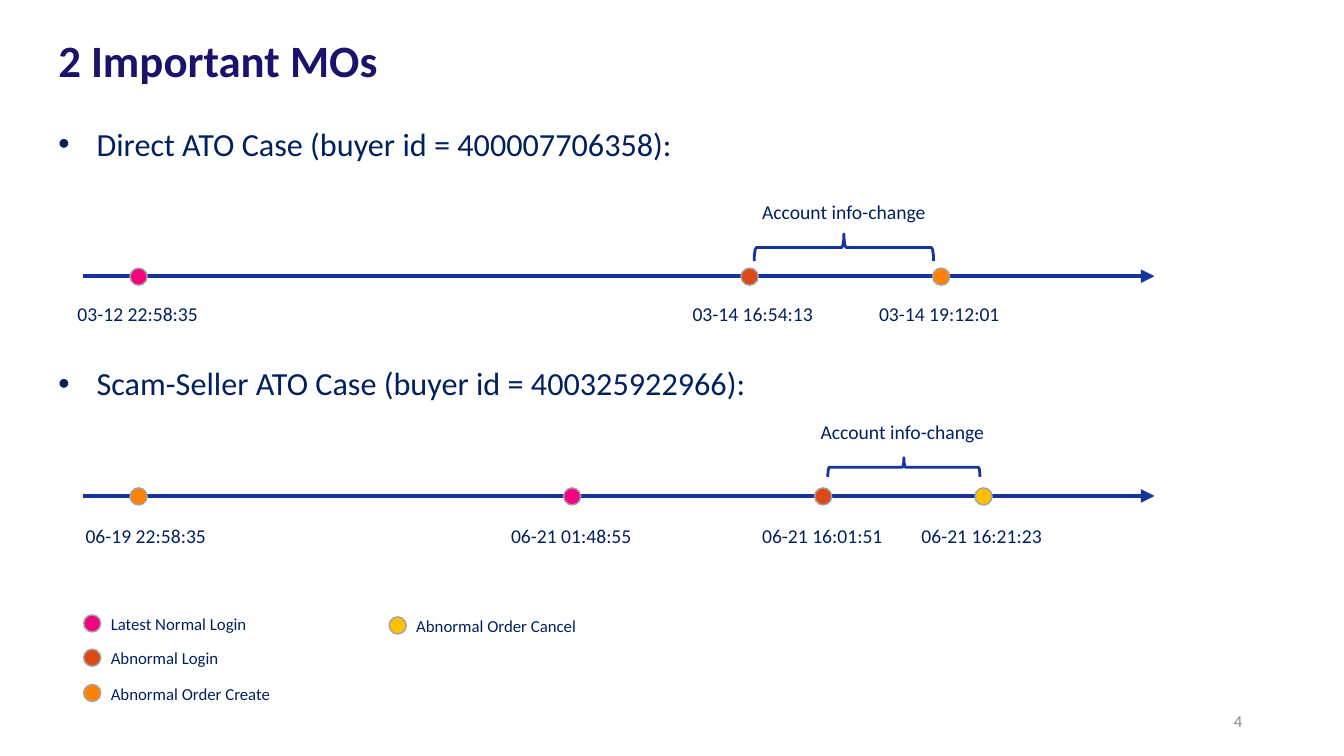
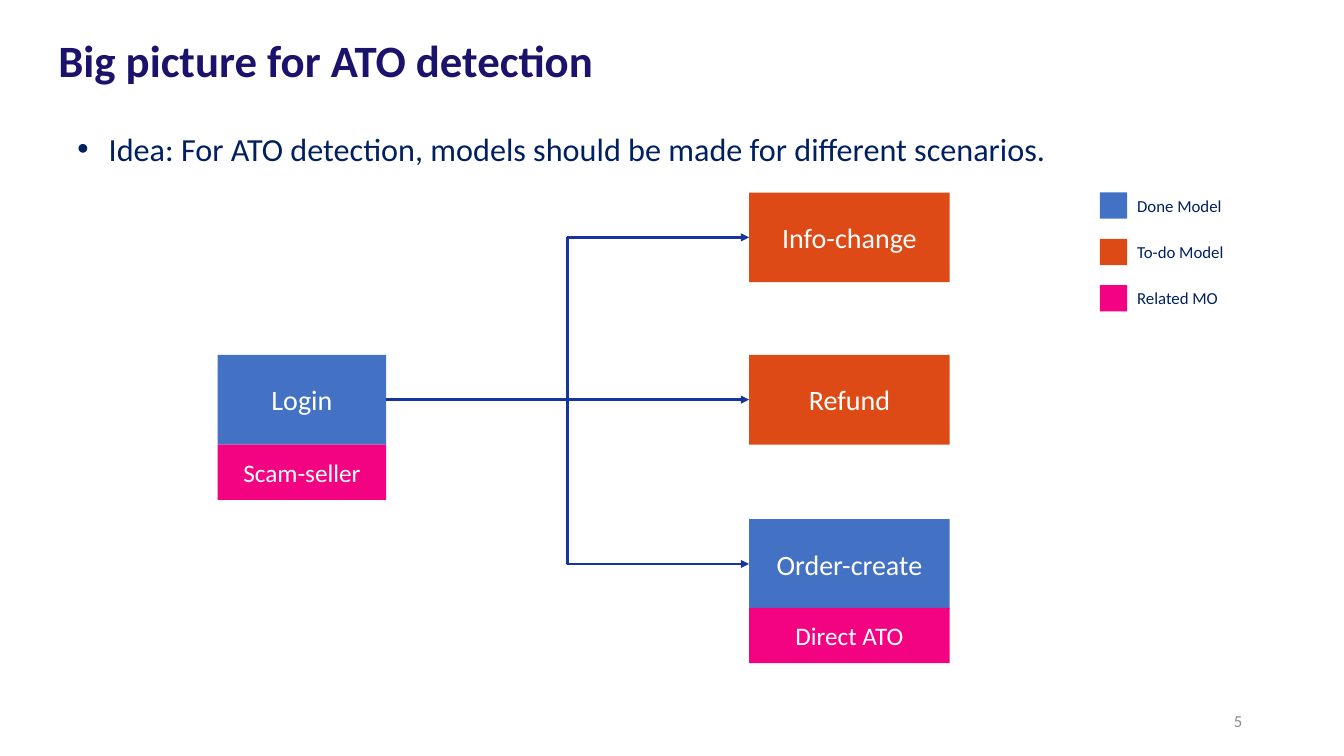
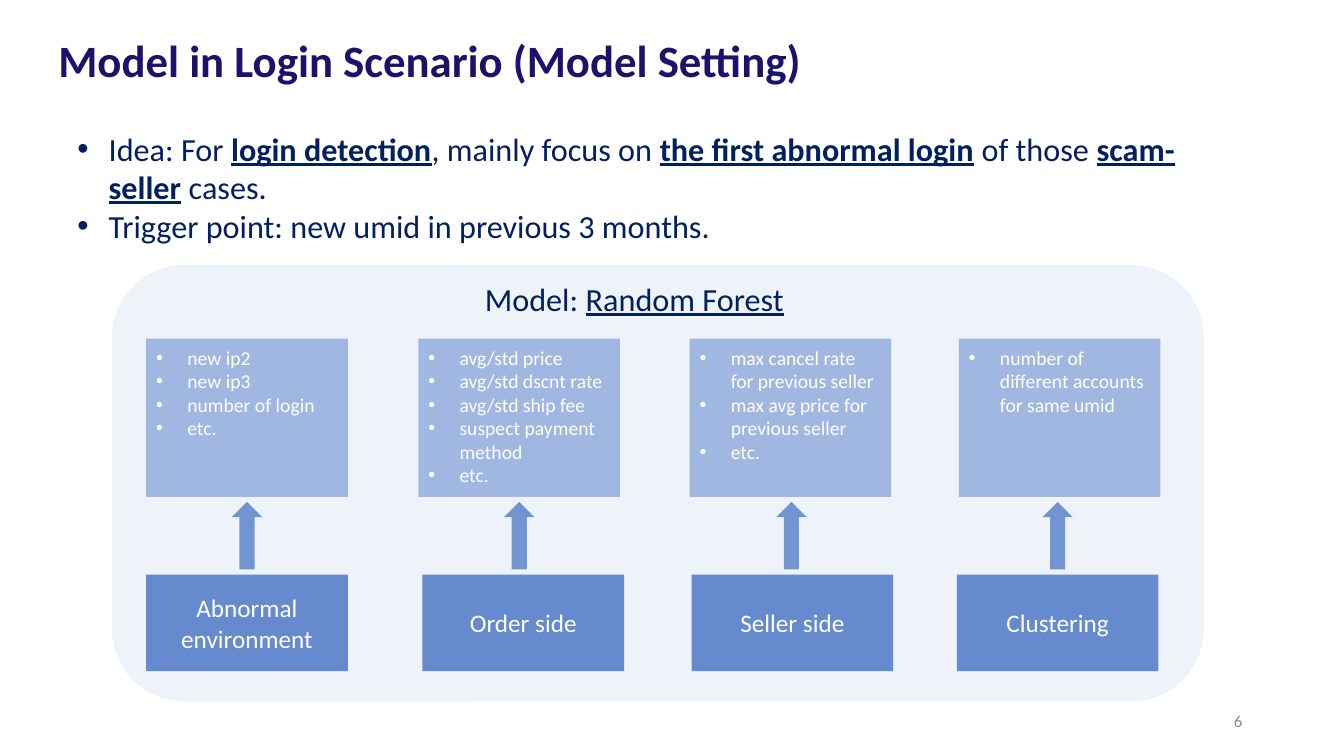
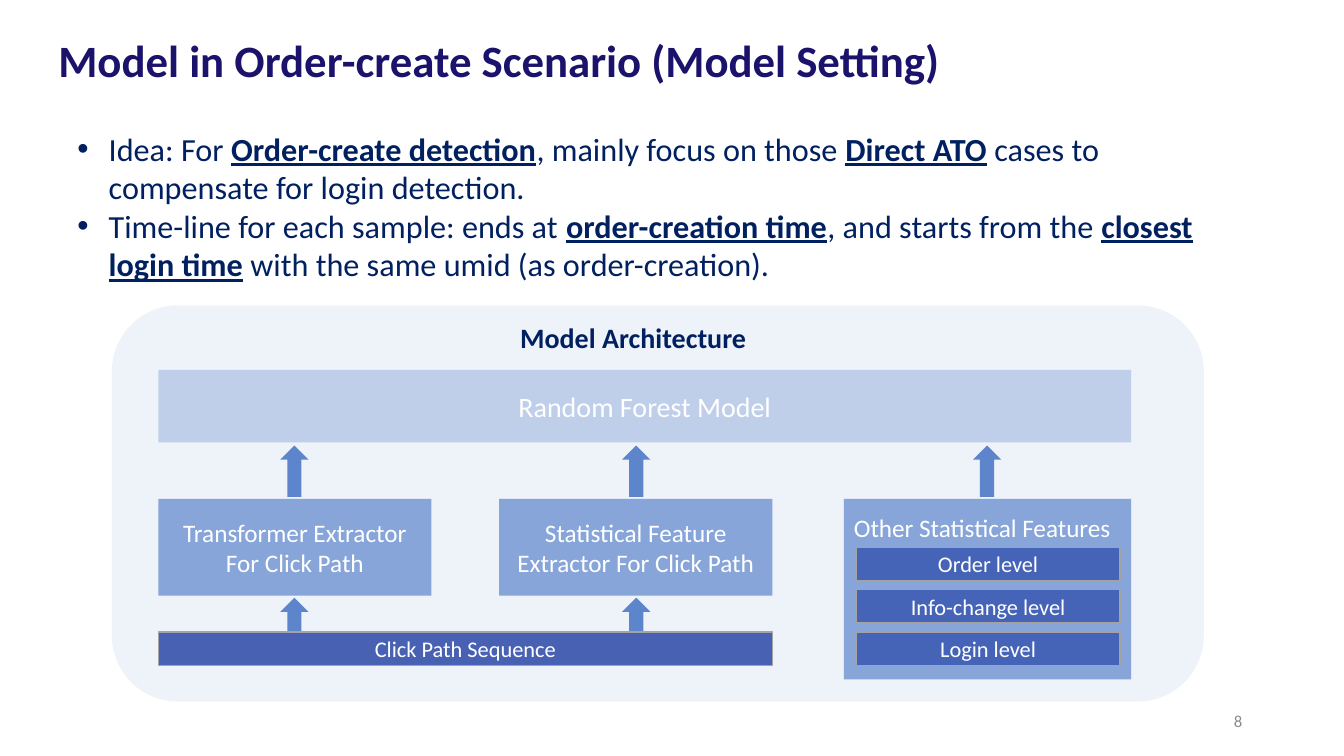
from lxml.etree import SubElement
from pptx import Presentation
from pptx.dml.color import RGBColor
from pptx.enum.shapes import MSO_CONNECTOR, MSO_SHAPE
from pptx.enum.text import MSO_ANCHOR, PP_ALIGN
from pptx.oxml.ns import qn
from pptx.util import Emu, Pt

PX = 9144
FONT = "Calibri"
TITLE, NAVY, GREY, EDGE, WHITE = "1B126C", "002060", "8C8C8C", "A3A3A3", "FFFFFF"
BLUE, ROYAL, PINK, RED = "4372C4", "16349E", "F30381", "DE4A16"
ORANGE, YELLOW = "FF8202", "FFC000"


def px(n):
    """Turn px into EMU."""
    return Emu(round(n * PX))


def rgb(color):
    """Turn a hex string into a colour."""
    return RGBColor.from_string(color)


def write(tf, paras, size, color, align=PP_ALIGN.LEFT, indent=0, bold=False,
          strong=True, spacing=None):
    """Fill a frame; in a list of runs every second one is emphasised."""
    for i, runs in enumerate(paras):
        p = tf.paragraphs[0] if i == 0 else tf.add_paragraph()
        p.alignment = align
        if spacing:
            p.line_spacing = spacing
        if indent:
            pPr = p._p.get_or_add_pPr()
            pPr.set("marL", str(px(indent)))
            pPr.set("indent", str(px(-indent)))
            SubElement(pPr, qn("a:buFont")).set("typeface", "Arial")
            SubElement(pPr, qn("a:buChar")).set("char", "•")
        for j, text in enumerate([runs] if isinstance(runs, str) else runs):
            r = p.add_run()
            r.text = text
            f = r.font
            f.name, f.size, f.color.rgb = FONT, Pt(size), rgb(color)
            f.bold = bold or (strong and j % 2 == 1)
            f.underline = j % 2 == 1


def add_text(s, x, y, w, h, paras, size, color=NAVY, anchor=MSO_ANCHOR.TOP, **style):
    """Add a wrapped text box."""
    tf = s.shapes.add_textbox(px(x), px(y), px(w), px(h)).text_frame
    tf.word_wrap = True
    tf.vertical_anchor = anchor
    write(tf, paras, size, color, **style)


def add_box(s, kind, x, y, w, h, fill=None, alpha=100, edge=None, edge_width=1):
    """Add a flat preset shape."""
    sp = s.shapes.add_shape(kind, px(x), px(y), px(w), px(h))
    sp.shadow.inherit = False
    if fill:
        sp.fill.solid()
        sp.fill.fore_color.rgb = rgb(fill)
        if alpha < 100:
            clr = sp.element.spPr.find(qn("a:solidFill"))[0]
            SubElement(clr, qn("a:alpha")).set("val", str(alpha * 1000))
    else:
        sp.fill.background()
    if edge:
        sp.line.color.rgb = rgb(edge)
        sp.line.width = Pt(edge_width)
    else:
        sp.line.fill.background()
    return sp


def add_block(s, x, y, w, h, paras, size, fill=BLUE, alpha=100, edge=None,
              top=None, align=PP_ALIGN.CENTER, indent=0):
    """Add a filled rectangle with white text, centred or from a top inset."""
    sp = add_box(s, MSO_SHAPE.RECTANGLE, x, y, w, h, fill, alpha, edge)
    tf = sp.text_frame
    tf.word_wrap = True
    tf.vertical_anchor = MSO_ANCHOR.MIDDLE
    if top is not None:
        tf.vertical_anchor = MSO_ANCHOR.TOP
        tf.margin_top = px(top)
    write(tf, paras, size, WHITE, align=align, indent=indent)
    return sp


def add_arrow(s, kind, x1, y1, x2, y2, width):
    """Add a connector with an arrowhead at its end."""
    c = s.shapes.add_connector(kind, px(x1), px(y1), px(x2), px(y2))
    c.line.color.rgb = rgb(ROYAL)
    c.line.width = Pt(width)
    spPr = c.element.spPr
    SubElement(spPr.find(qn("a:ln")), qn("a:tailEnd")).set("type", "triangle")
    SubElement(spPr, qn("a:effectLst"))
    return c


def join(s, kind, start, end):
    """Join the right side of one block to the left side of another."""
    c = add_arrow(s, kind, 0, 0, 1, 1, 1.75)
    c.begin_connect(start, 3)
    c.end_connect(end, 1)


def add_slide(prs, title, number):
    """Add a slide with its title and page number."""
    s = prs.slides.add_slide(prs.slide_layouts[6])
    add_text(s, 48, 31, 1043, 64, [title], 32, TITLE, MSO_ANCHOR.MIDDLE,
             bold=True, spacing=0.9)
    add_text(s, 942, 695, 300, 40, [str(number)], 12, GREY, MSO_ANCHOR.MIDDLE,
             align=PP_ALIGN.RIGHT)
    return s


def add_ideas(s, h, paras):
    """Add the bulleted statement below the title."""
    add_text(s, 67, 123, 1126, h, paras, 23, indent=31)


def add_key(s, kind, x, y, w, h, color, label, edge=None):
    """Add one legend marker with its label."""
    add_box(s, kind, x, y, w, h, color, edge=edge)
    add_text(s, x + w, y + (h + 1) // 2 - 15, 191, 30, [label], 12)


def add_dot(s, x, y, color):
    """Add an event dot."""
    add_box(s, MSO_SHAPE.OVAL, x, y, 17, 17, color, edge=EDGE)


def add_timeline(s, x, y, label_dy, events):
    """Add a time arrow with dots and time labels, offset from its start."""
    add_arrow(s, MSO_CONNECTOR.STRAIGHT, x, y, x + 1063, y, 3.25)
    for dot_dx, label_dx, color, time in events:
        add_dot(s, x + dot_dx, y - 8, color)
        add_text(s, x + label_dx, y + label_dy, 142, 34, [time], 14)


def add_span(s, x, y, w, h, label_dx, label_dy):
    """Add a brace that opens downwards, with its label above."""
    shift = (w - h) / 2
    sp = add_box(s, MSO_SHAPE.RIGHT_BRACE, x + shift, y - shift, h, w,
                 edge=ROYAL, edge_width=2)
    sp.rotation = 270
    add_text(s, x + label_dx, y + label_dy, 194, 34, ["Account info-change"], 14)


def add_panel(s, x, y, w, h):
    """Add the pale rounded panel behind a model."""
    add_box(s, MSO_SHAPE.ROUNDED_RECTANGLE, x, y, w, h, BLUE, 9)


def add_feature_columns(s, x, y, columns):
    """Add feature lists, each fed by an arrow from its group."""
    for list_dx, arrow_dx, group_dx, group, features in columns:
        add_block(s, x + list_dx, y + 73, 200, 157, features, 14, alpha=45,
                  top=7, align=PP_ALIGN.LEFT, indent=31)
        add_box(s, MSO_SHAPE.UP_ARROW, x + arrow_dx, y + 235, 30, 67, BLUE, 72)
        add_block(s, x + group_dx, y + 307, 200, 96, [group], 18, alpha=80)


def add_architecture(s, x, y):
    """Add the layers of the order model."""
    add_text(s, x + 395, y + 10, 248, 44, ["Model Architecture"], 20, bold=True)
    add_block(s, x + 46, y + 64, 965, 72, ["Random Forest Model"], 20, alpha=27)
    extractors = [
        (46, ["Transformer Extractor", "For Click Path"]),
        (384, ["Statistical Feature Extractor For Click Path"]),
    ]
    for dx, paras in extractors:
        add_block(s, x + dx, y + 192, 271, 96, paras, 18, alpha=60)
    add_block(s, x + 46, y + 324, 609, 33, ["Click Path Sequence"], 16, ROYAL, 76, EDGE)
    add_block(s, x + 726, y + 192, 285, 179, ["Other Statistical Features"], 18,
              alpha=60, top=13, align=PP_ALIGN.LEFT)
    for i, level in enumerate(["Order level", "Info-change level", "Login level"]):
        add_block(s, x + 738, y + 240 + 42 * i, 262, 33, [level], 16, ROYAL, 57, EDGE)
    for dx, dy, h in [(167, 139, 51), (506, 139, 51), (854, 139, 51),
                      (167, 290, 33), (506, 290, 33)]:
        add_box(s, MSO_SHAPE.UP_ARROW, x + dx, y + dy, 28, h, BLUE, 85)


def build_cases(prs):
    """Build the slide with two case timelines."""
    s = add_slide(prs, "2 Important MOs", 4)
    for y, case in [(118, "Direct ATO Case (buyer id = 400007706358):"),
                    (356, "Scam-Seller ATO Case (buyer id = 400325922966):")]:
        add_text(s, 48, y, 1126, 88, [case], 23, indent=38)
    add_timeline(s, 82, 274, 21, [
        (47, -15, PINK, "03-12 22:58:35"),
        (653, 595, RED, "03-14 16:54:13"),
        (843, 780, ORANGE, "03-14 19:12:01"),
    ])
    add_timeline(s, 82, 492, 23, [
        (47, -7, ORANGE, "06-19 22:58:35"),
        (477, 415, PINK, "06-21 01:48:55"),
        (726, 664, RED, "06-21 16:01:51"),
        (885, 822, YELLOW, "06-21 16:21:23"),
    ])
    add_span(s, 748, 232, 178, 27, -2, -39)
    add_span(s, 821, 454, 151, 19, -17, -42)
    for x, y, color, label in [
        (83, 610, PINK, "Latest Normal Login"),
        (83, 644, RED, "Abnormal Login"),
        (83, 679, ORANGE, "Abnormal Order Create"),
        (386, 612, YELLOW, "Abnormal Order Cancel"),
    ]:
        add_key(s, MSO_SHAPE.OVAL, x, y, 17, 17, color, label, EDGE)


def build_overview(prs):
    """Build the slide with the detection scenarios."""
    s = add_slide(prs, "Big picture for ATO detection", 5)
    add_ideas(s, 49, ["Idea: For ATO detection, models should be made for different scenarios."])
    login = add_block(s, 216, 352, 167, 89, ["Login"], 20)
    add_block(s, 216, 441, 167, 55, ["Scam-seller"], 18, PINK)
    for y, name, color, kind in [
        (191, "Info-change", RED, MSO_CONNECTOR.ELBOW),
        (352, "Refund", RED, MSO_CONNECTOR.STRAIGHT),
        (515, "Order-create", BLUE, MSO_CONNECTOR.ELBOW),
    ]:
        target = add_block(s, 743, y, 199, 89, [name], 20, color)
        join(s, kind, login, target)
    add_block(s, 743, 603, 199, 55, ["Direct ATO"], 18, PINK)
    for i, (color, label) in enumerate([
        (BLUE, "Done Model"), (RED, "To-do Model"), (PINK, "Related MO"),
    ]):
        add_key(s, MSO_SHAPE.RECTANGLE, 1091, 191 + 46 * i, 27, 26, color, label)


def build_login(prs):
    """Build the slide with the login model."""
    s = add_slide(prs, "Model in Login Scenario (Model Setting)", 6)
    add_ideas(s, 126, [
        ["Idea: For ", "login detection", ", mainly focus on ",
         "the first abnormal login", " of those ", "scam-seller", " cases."],
        "Trigger point: new umid in previous 3 months.",
    ])
    x, y = 111, 263
    add_panel(s, x, y, 1083, 433)
    add_text(s, x + 360, y + 9, 319, 49, [["Model: ", "Random Forest"]], 23, strong=False)
    add_feature_columns(s, x, y, [
        (34, 119, 34, "Abnormal environment",
         ["new ip2", "new ip3", "number of login", "etc."]),
        (304, 389, 308, "Order side",
         ["avg/std price", "avg/std dscnt rate", "avg/std ship fee",
          "suspect payment method", "etc."]),
        (573, 659, 575, "Seller side",
         ["max cancel rate for previous seller",
          "max avg price for previous seller", "etc."]),
        (840, 923, 838, "Clustering",
         ["number of different accounts for same umid"]),
    ])


def build_order(prs):
    """Build the slide with the order model."""
    s = add_slide(prs, "Model in Order-create Scenario (Model Setting)", 8)
    add_ideas(s, 165, [
        ["Idea: For ", "Order-create detection", ", mainly focus on those ",
         "Direct ATO", " cases to compensate for login detection."],
        ["Time-line for each sample: ends at ", "order-creation time",
         ", and starts from the ", "closest login time",
         " with the same umid (as order-creation)."],
    ])
    x, y = 111, 303
    add_panel(s, x, y, 1083, 393)
    add_architecture(s, x, y)


def main():
    """Build and save the presentation."""
    prs = Presentation()
    prs.slide_width, prs.slide_height = px(1333), px(750)
    for build in (build_cases, build_overview, build_login, build_order):
        build(prs)
    prs.save("out.pptx")


if __name__ == "__main__":
    main()
